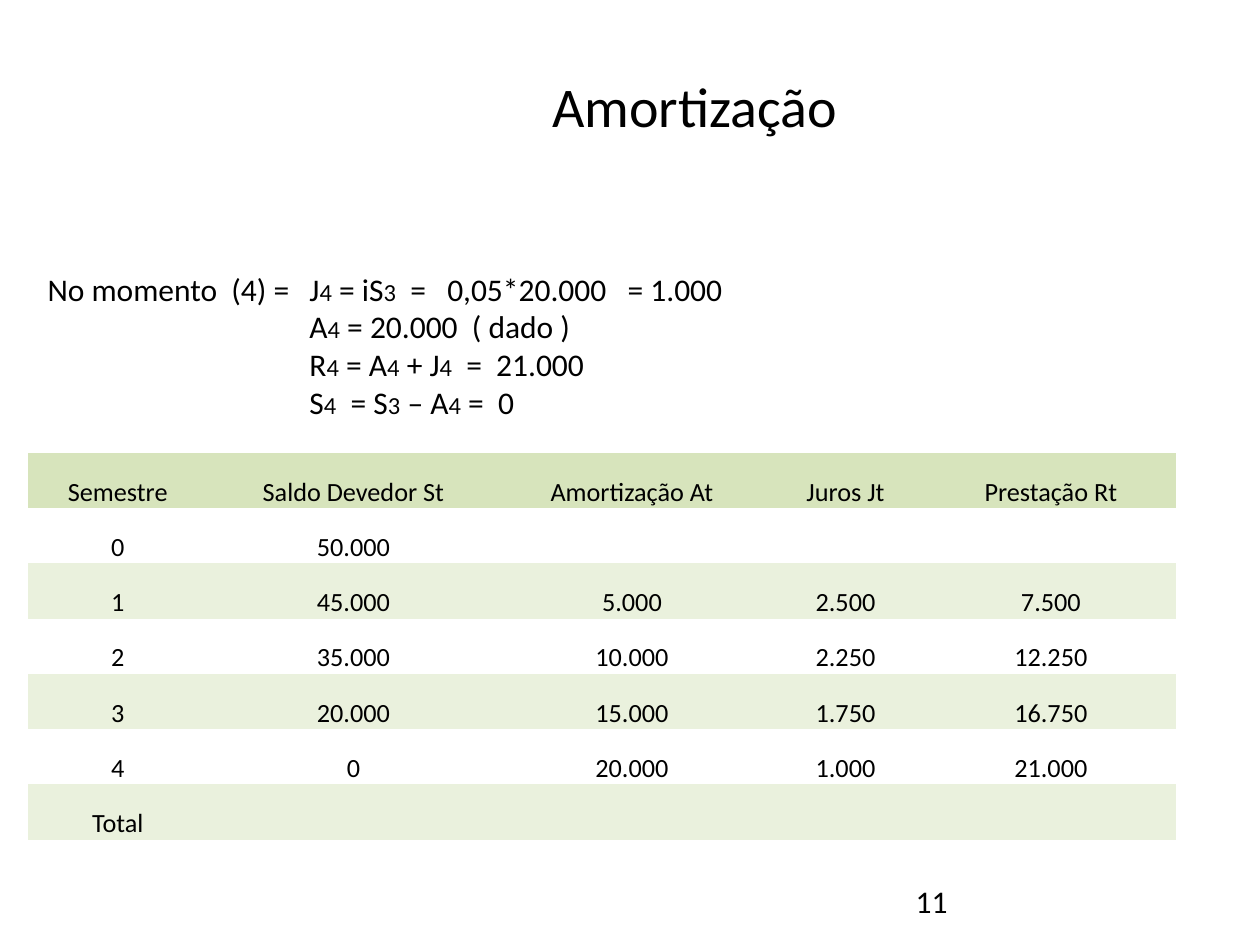
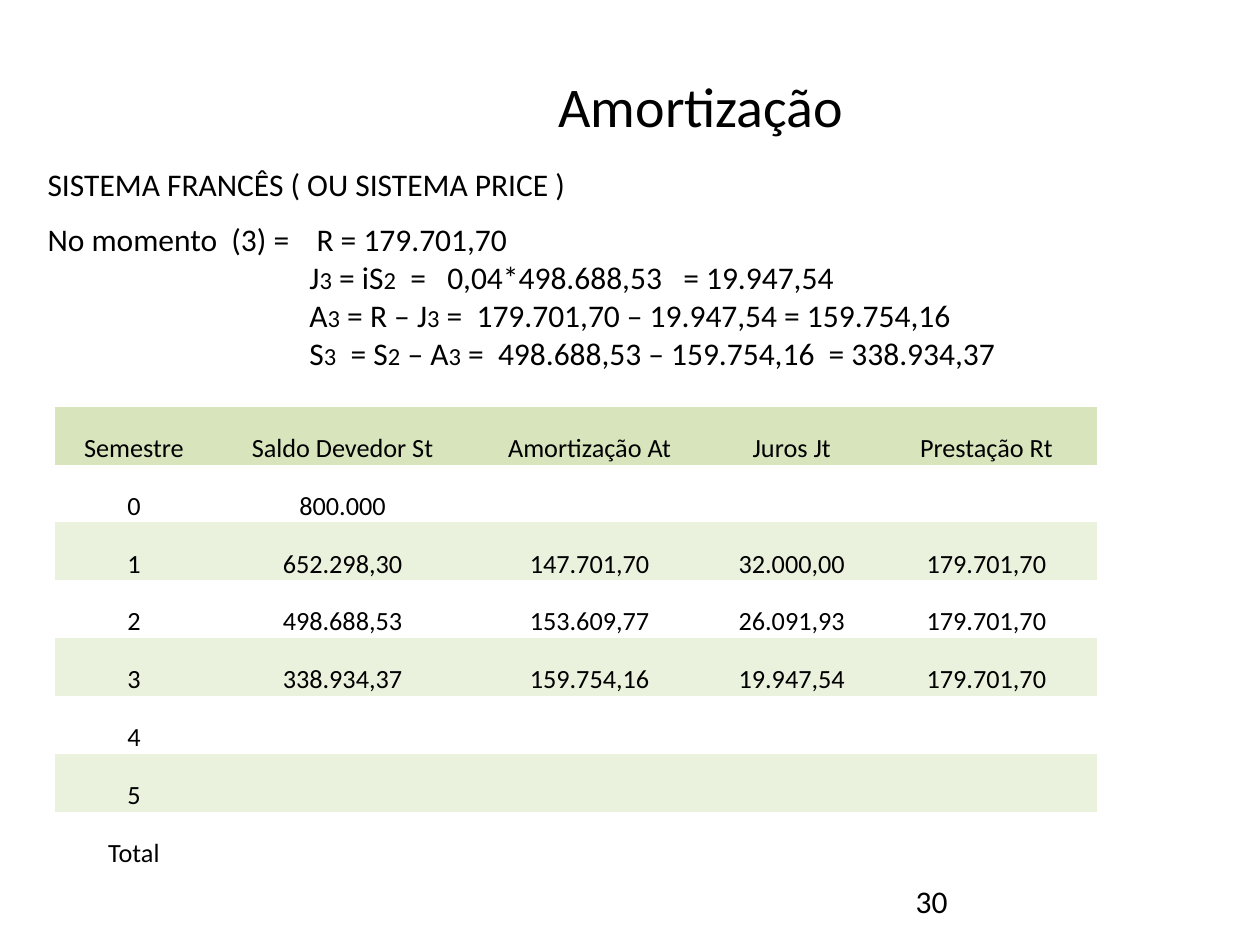
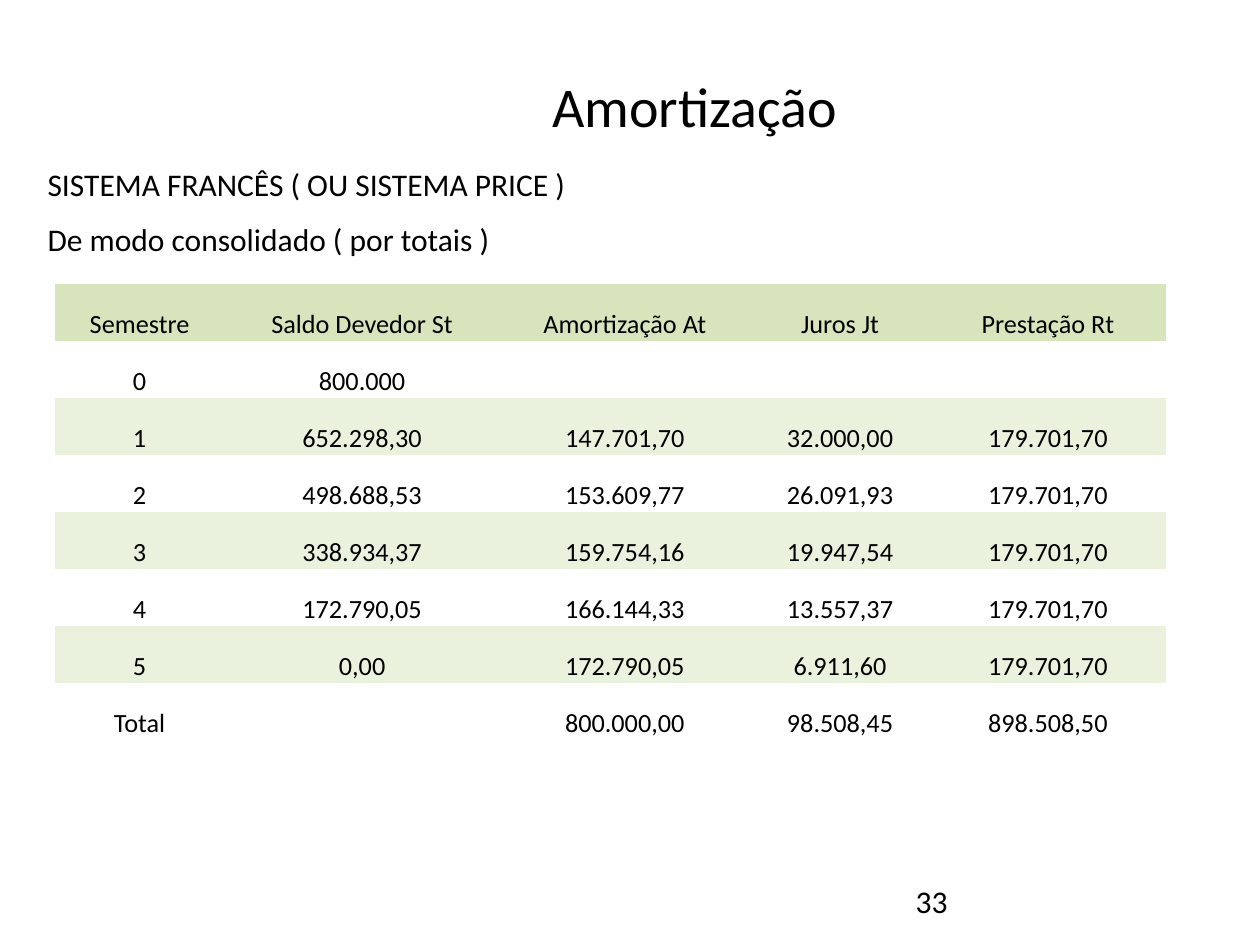
"""Build three slides on loan amortization schedules."""
from pptx import Presentation, util as u
from pptx.dml.color import RGBColor
from pptx.enum import text as t

HUES = {"ink": "000000", "head": "D7E4BC", "band": "EAF1DD"}
FONT = "Calibri"
PLAIN = "{2D5ABB26-0587-4C30-8999-92F81FD0307C}"
HEAD = ["Semestre", "Saldo Devedor St", "Amortização At", "Juros Jt", "Prestação Rt"]
PRICE = "SISTEMA FRANCÊS ( OU SISTEMA PRICE )"
STEM = 5.28

loan = [
    ["0", "800.000"],
    ["1", "652.298,30", "147.701,70", "32.000,00", "179.701,70"],
    ["2", "498.688,53", "153.609,77", "26.091,93", "179.701,70"],
    ["3", "338.934,37", "159.754,16", "19.947,54", "179.701,70"],
]

pages = [
    {
        "num": "11", "title": "Amortização",
        "notes": [(5.31, 4.11, [
            "No momento  (4) =\tJ_4 = iS_3  =   0,05*20.000   = 1.000",
            "A_4 = 20.000  ( dado )",
            "R_4 = A_4 + J_4  =  21.000",
            "S_4  = S_3 – A_4 =  0"])],
        "left": 0.56, "top": 9.13, "high": 7.8,
        "cols": [3.63, 5.87, 5.36, 3.25, 5.03],
        "rows": [
            ["0", "50.000"],
            ["1", "45.000", "5.000", "2.500", "7.500"],
            ["2", "35.000", "10.000", "2.250", "12.250"],
            ["3", "20.000", "15.000", "1.750", "16.750"],
            ["4", "0", "20.000", "1.000", "21.000"],
            ["Total"]],
    },
    {
        "num": "30", "title": " Amortização",
        "notes": [(3.2, 3.33, [PRICE]), (4.32, 4.11, [
            "No momento  (3) =\t R = 179.701,70",
            "J_3 = iS_2  =   0,04*498.688,53   = 19.947,54",
            "A_3 = R – J_3 =  179.701,70 – 19.947,54 = 159.754,16",
            "S_3  = S_2 – A_3 =  498.688,53 – 159.754,16  = 338.934,37"])],
        "left": 1.1, "top": 8.2, "high": 9.33,
        "cols": [3.2, 5.21, 4.75, 3.4, 4.45],
        "rows": loan + [["4"], ["5"], ["Total"]],
    },
    {
        "num": "33", "title": "Amortização",
        "notes": [(3.2, 3.33, [PRICE]),
                  (4.32, 1.02, ["De modo consolidado ( por totais )"])],
        "left": 1.1, "top": 5.72, "high": 9.2,
        "cols": [3.43, 5.54, 5.05, 3.63, 4.75],
        "rows": loan + [
            ["4", "172.790,05", "166.144,33", "13.557,37", "179.701,70"],
            ["5", "0,00", "172.790,05", "6.911,60", "179.701,70"],
            ["Total", "", "800.000,00", "98.508,45", "898.508,50"]],
    },
]


def style(para, size):
    para.font.name = FONT
    para.font.size = u.Pt(size)
    para.font.color.rgb = RGBColor.from_string(HUES["ink"])


def write(slide, box, lines, size, align=t.PP_ALIGN.LEFT):
    frame = slide.shapes.add_textbox(*map(u.Cm, box)).text_frame
    frame.word_wrap = True
    for i, line in enumerate(lines):
        para = frame.add_paragraph() if i else frame.paragraphs[0]
        style(para, size)
        para.alignment = align
        first, *rest = line.split("_")
        para.add_run().text = first
        for part in rest:
            low = para.add_run()
            low.text = part[0]
            low.font.size = u.Pt(14)
            para.add_run().text = part[1:]
        if len(lines) > 1:
            props = para._p.get_or_add_pPr()
            props.set("marL", str(u.Cm(STEM)))
            props.set("indent", str(0 if i else -u.Cm(STEM)))


deck = Presentation()
deck.slide_width, deck.slide_height = u.Cm(25.4), u.Cm(19.05)

for page in pages:
    slide = deck.slides.add_slide(deck.slide_layouts[6])
    write(slide, (18.21, 17.65, 5.92, 1.02), [page["num"]], 18)
    write(slide, (2.31, 1.32, 23.39, 2.21), [page["title"]], 32, t.PP_ALIGN.CENTER)
    for top, high, lines in page["notes"]:
        write(slide, (0.71, top, 24.41, high), lines, 18)

    rows = [HEAD] + page["rows"]
    box = (page["left"], page["top"], sum(page["cols"]), page["high"])
    grid = slide.shapes.add_table(len(rows), len(HEAD), *map(u.Cm, box)).table
    grid.first_row = grid.horz_banding = False
    grid._tbl.tblPr[0].text = PLAIN
    for col, wide in zip(grid.columns, page["cols"]):
        col.width = u.Cm(wide)
    for r, row in enumerate(rows):
        for c in range(len(HEAD)):
            cell = grid.cell(r, c)
            cell.margin_left = cell.margin_right = cell.margin_top = u.Cm(0.03)
            cell.margin_bottom = 0
            cell.vertical_anchor = t.MSO_ANCHOR.BOTTOM
            if r % 2:
                cell.fill.background()
            else:
                cell.fill.solid()
                cell.fill.fore_color.rgb = RGBColor.from_string(HUES["band" if r else "head"])
            para = cell.text_frame.paragraphs[0]
            para.alignment = t.PP_ALIGN.CENTER
            style(para, 15)
            if c < len(row) and row[c]:
                para.add_run().text = row[c]

deck.save("out.pptx")
